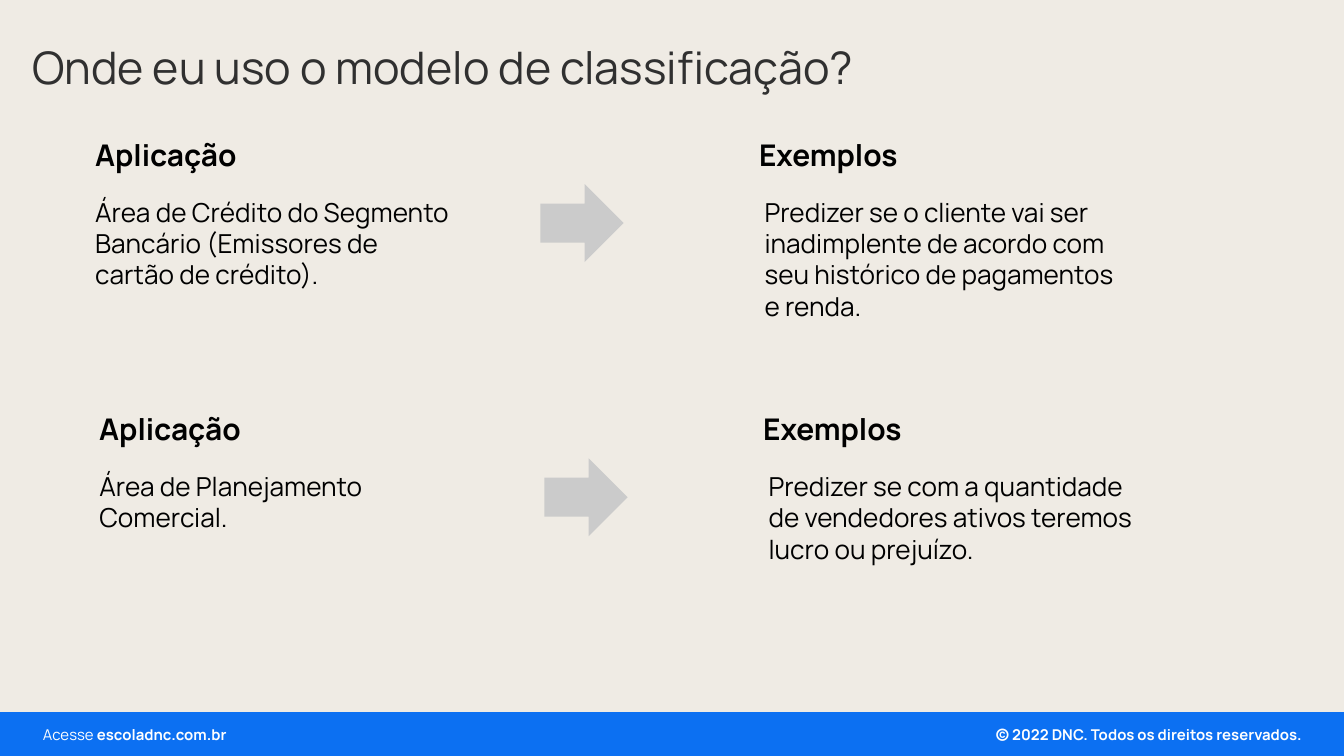
import pptx
import pptx.util
import pptx.dml.color
import pptx.enum.shapes
import pptx.enum.text

Inches, Pt = pptx.util.Inches, pptx.util.Pt
RGBColor = pptx.dml.color.RGBColor
MSO_SHAPE = pptx.enum.shapes.MSO_SHAPE
PP_ALIGN = pptx.enum.text.PP_ALIGN
MSO_ANCHOR = pptx.enum.text.MSO_ANCHOR

FONT = "Manrope"
CREAM = RGBColor(0xEF, 0xEB, 0xE4)
BLUE = RGBColor(0x0C, 0x70, 0xF2)
GRAY = RGBColor(0xCB, 0xCB, 0xCB)
CHARCOAL = RGBColor(0x30, 0x30, 0x30)
BLACK = RGBColor(0, 0, 0)
WHITE = RGBColor(0xFF, 0xFF, 0xFF)

TITLE = "Onde eu uso o modelo de classificação?"
HEADINGS = ("Aplicação", "Exemplos")
CASES = [
    ("Área de Crédito do Segmento Bancário (Emissores de cartão de crédito).",
     "Predizer se o cliente vai ser inadimplente de acordo com seu histórico de pagamentos e renda."),
    ("Área de Planejamento Comercial.",
     "Predizer se com a quantidade de vendedores ativos teremos lucro ou prejuízo."),
]
SITE = [("Acesse ", False), ("escoladnc.com.br", True)]
COPYRIGHT = [("© 2022 DNC. Todos os direitos reservados.", True)]

WIDTH = 10
HEIGHT = WIDTH * 9 / 16
FOOTER_TOP = 5.3
ROW_TOP, ROW_STEP, ROW_SHIFT = 0.97, 2.04, 0.03
HEADING_LEFTS = (0.61, 5.55)
BODY_LEFTS = (0.61, 5.59)
BODY_HEIGHTS = ((0.81, 1.04), (0.57, 0.81))
BODY_DROP, ARROW_DROP, ARROW_LEFT = 0.44, 0.4, 4.02


def write(frame, runs, size, color, align=PP_ALIGN.LEFT):
    frame.word_wrap = True
    paragraph = frame.paragraphs[0]
    paragraph.alignment = align
    for text, bold in runs:
        run = paragraph.add_run()
        run.text = text
        run.font.name = FONT
        run.font.size = Pt(size)
        run.font.bold = bold
        run.font.color.rgb = color
    return paragraph


def tighten(frame):
    frame.margin_left = frame.margin_right = Inches(0.07)
    frame.margin_top = frame.margin_bottom = Inches(0.04)


def add_text(slide, box, runs, size, color=BLACK, align=PP_ALIGN.LEFT):
    frame = slide.shapes.add_textbox(*map(Inches, box)).text_frame
    write(frame, runs, size, color, align)
    return frame


def add_block(slide, kind, box, color):
    block = slide.shapes.add_shape(kind, *map(Inches, box))
    block.shadow.inherit = False
    block.fill.solid()
    block.fill.fore_color.rgb = color
    block.line.fill.background()


def add_title(slide):
    title = slide.shapes.title
    title.left, title.top, title.width, title.height = map(Inches, (0.17, 0.08, 6.77, 0.88))
    tighten(title.text_frame)
    title.text_frame.vertical_anchor = MSO_ANCHOR.MIDDLE
    write(title.text_frame, [(TITLE, False)], 24, CHARCOAL).line_spacing = 0.9


def add_footer(slide):
    add_block(slide, MSO_SHAPE.RECTANGLE, (0, FOOTER_TOP, WIDTH, HEIGHT - FOOTER_TOP), BLUE)
    for left, width, runs, align in (
        (7.09, 2.67, COPYRIGHT, PP_ALIGN.RIGHT),
        (0.25, 2.46, SITE, PP_ALIGN.LEFT),
    ):
        tighten(add_text(slide, (left, FOOTER_TOP + 0.06, width, 0.21), runs, 8, WHITE, align))


def add_case(slide, row, bodies):
    top, shift = ROW_TOP + row * ROW_STEP, row * ROW_SHIFT
    add_block(slide, MSO_SHAPE.RIGHT_ARROW,
              (ARROW_LEFT + shift, top + ARROW_DROP, 0.62, 0.58), GRAY)
    for column, (heading, body) in enumerate(zip(HEADINGS, bodies)):
        add_text(slide, (HEADING_LEFTS[column] + shift, top, 1.34, 0.37),
                 [(heading, True)], 16)
        add_text(slide, (BODY_LEFTS[column] + shift, top + BODY_DROP, 2.91, BODY_HEIGHTS[row][column]),
                 [(body, False)], 14)


def main():
    deck = pptx.Presentation()
    deck.slide_width, deck.slide_height = Inches(WIDTH), Inches(HEIGHT)
    slide = deck.slides.add_slide(deck.slide_layouts.get_by_name("Title Only"))
    slide.background.fill.solid()
    slide.background.fill.fore_color.rgb = CREAM
    add_footer(slide)
    add_title(slide)
    for row, bodies in enumerate(CASES):
        add_case(slide, row, bodies)
    deck.save("out.pptx")


if __name__ == "__main__":
    main()
